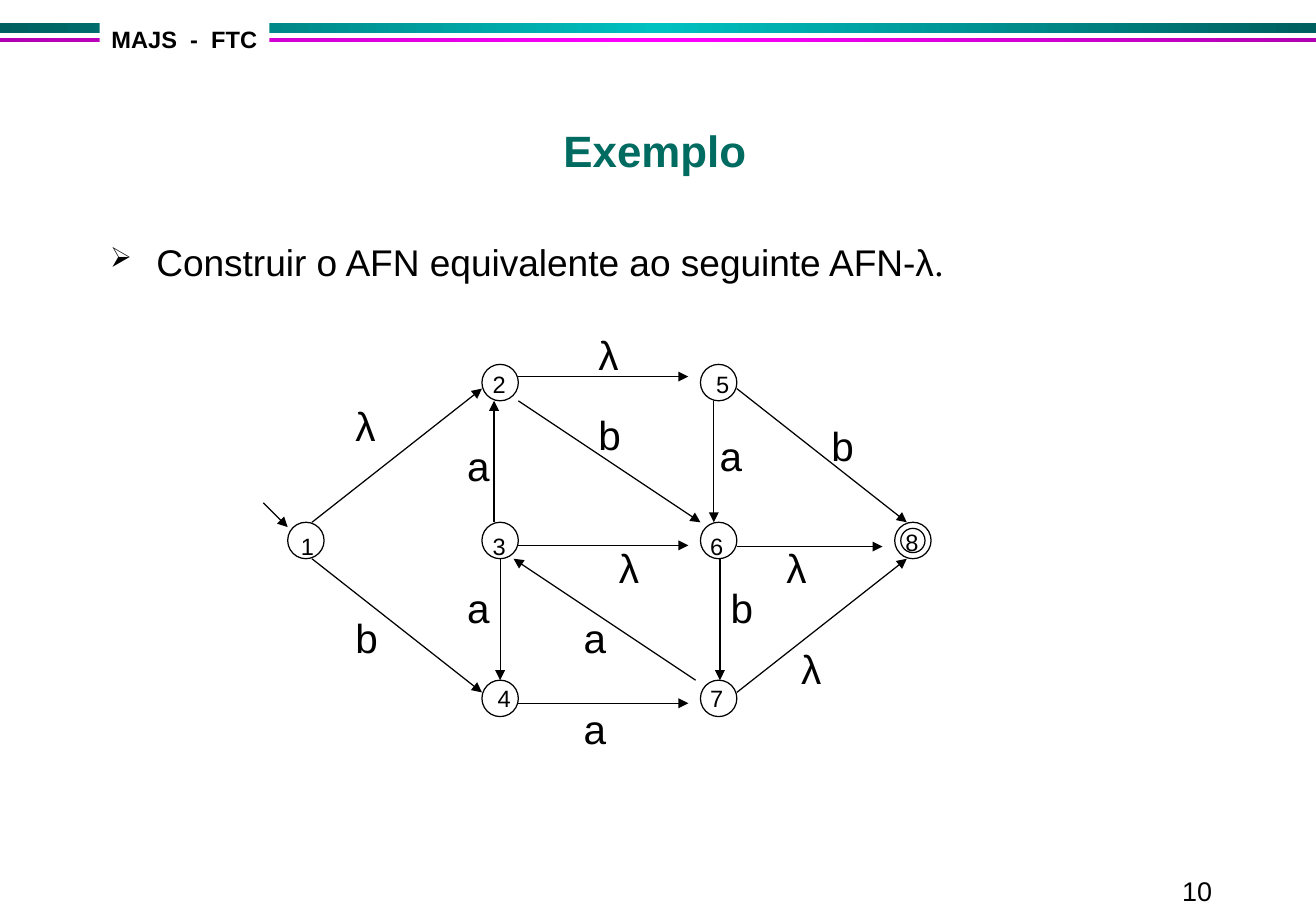
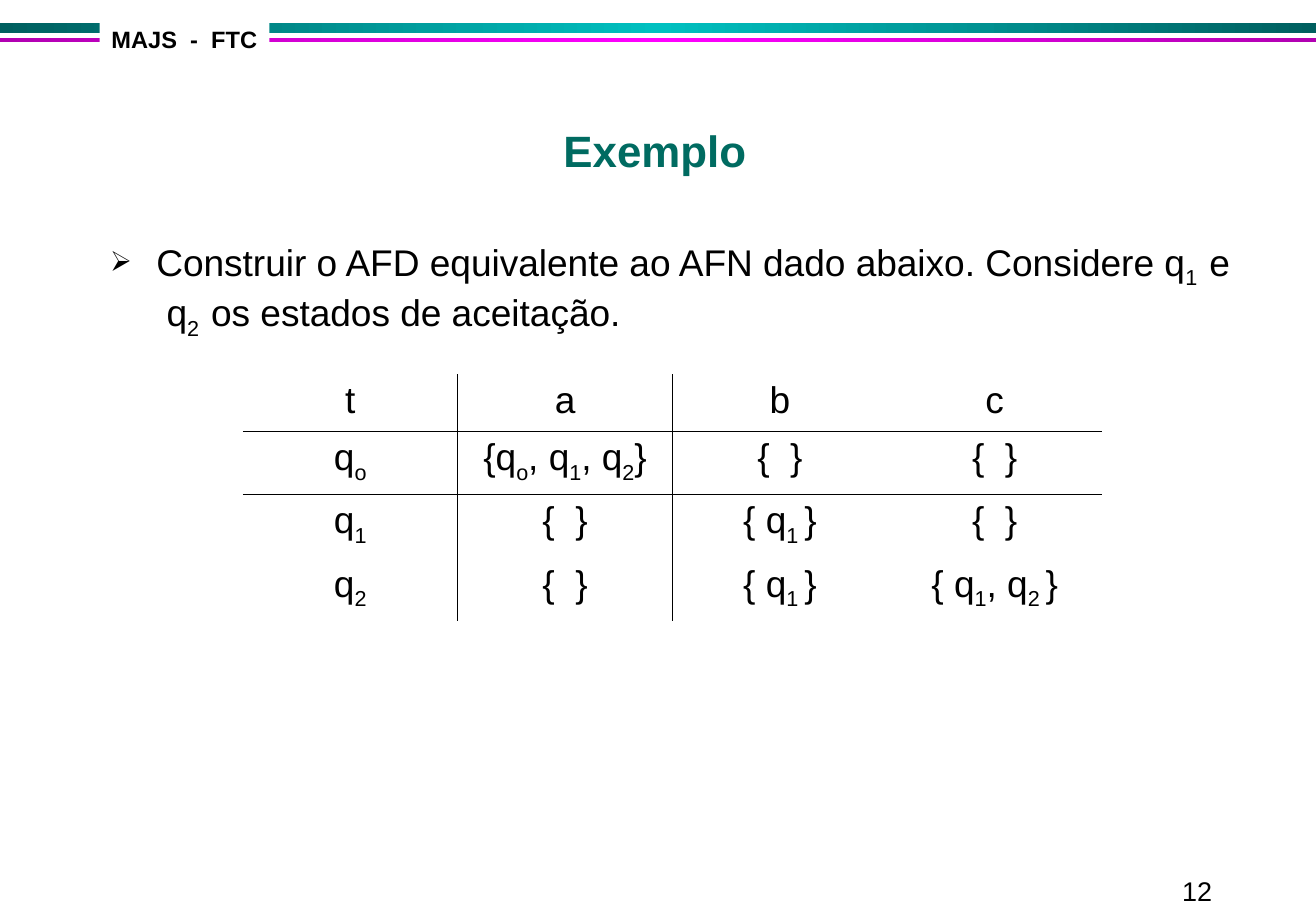
"""Build two slides on finite automata: a state diagram and a transition table."""
from copy import deepcopy

from lxml.etree import SubElement
from pptx import Presentation
from pptx.dml.color import RGBColor
from pptx.enum.shapes import MSO_CONNECTOR, MSO_SHAPE
from pptx.enum.text import MSO_ANCHOR, MSO_AUTO_SIZE, PP_ALIGN
from pptx.oxml.ns import qn
from pptx.util import Inches, Pt

COLORS = {
    "text": "000000",
    "title": "006B61",
    "paper": "FFFFFF",
    "teal_edge": "005F5F",
    "teal_middle": "00C0C0",
    "pink_edge": "B100B1",
    "pink_middle": "FF00FF",
}
RGB = {name: RGBColor.from_string(value) for name, value in COLORS.items()}
FONT = "Arial"


def add_spans(para, text, size, bold=False, color="text"):
    """Add text run by run; every second piece between bars is a subscript."""
    for index, piece in enumerate(text.split("|")):
        if not piece:
            continue
        span = para.add_run()
        span.text = piece
        span.font.name = FONT
        span.font.size = Pt(size)
        span.font.bold = bold
        span.font.color.rgb = RGB[color]
        if index % 2:
            span.font._element.set("baseline", "-25000")


def add_text(page, left, top, width, height, text, size, bold=False):
    """Add a text box, with its lengths in inches, and return it."""
    box = page.shapes.add_textbox(*map(Inches, (left, top, width, height)))
    box.text_frame.word_wrap = True
    add_spans(box.text_frame.paragraphs[0], text, size, bold)
    return box


deck = Presentation()
deck.slide_width, deck.slide_height = Inches(10.84), Inches(7.5)
title_only = deck.slide_layouts[5]

BANDS = [(0.19, 0.08, "teal"), (0.31, 0.04, "pink")]
PAGES = [
    ("10", "Construir o AFN equivalente ao seguinte AFN-λ"),
    ("12", "Construir o AFD equivalente ao AFN dado abaixo. Considere q"
           "|1  |e  q|2  |os estados de aceitação."),
]
bodies = []
for number, sentence in PAGES:
    page = deck.slides.add_slide(title_only)
    for top, height, hue in BANDS:
        band = page.shapes.add_shape(
            MSO_SHAPE.RECTANGLE, 0, Inches(top), deck.slide_width, Inches(height))
        band.shadow.inherit = False
        band.line.fill.background()
        band.fill.gradient()
        band.fill.gradient_angle = 0
        stop_list = band._element.spPr.find(".//" + qn("a:gsLst"))
        stop_list.append(deepcopy(stop_list[0]))
        for index, part in enumerate(("edge", "middle", "edge")):
            stop = band.fill.gradient_stops[index]
            stop.position = index / 2
            stop.color.rgb = RGB[f"{hue}_{part}"]

    add_text(page, 9.64, 7.15, 1.2, 0.35, number, 16)
    tag = add_text(page, 0.82, 0.16, 1.4, 0.33, "MAJS  -  FTC", 14, True)
    tag.text_frame.word_wrap = False
    tag.fill.solid()
    tag.fill.fore_color.rgb = RGB["paper"]

    title = page.shapes.title
    title.left, title.top, title.width, title.height = map(
        Inches, (0.79, 0.81, 9.21, 0.69))
    title.text_frame.auto_size = MSO_AUTO_SIZE.NONE
    title.text_frame.vertical_anchor = MSO_ANCHOR.BOTTOM
    heading = title.text_frame.paragraphs[0]
    heading.alignment = PP_ALIGN.CENTER
    add_spans(heading, "Exemplo", 26, True, "title")

    body = add_text(page, 0.81, 1.92, 9.44, 1.0, sentence, 22)
    properties = body.text_frame.paragraphs[0]._p.get_or_add_pPr()
    properties.set("marL", str(Inches(0.38)))
    properties.set("indent", str(Inches(-0.38)))
    bullet_color = SubElement(properties, qn("a:buClr"))
    SubElement(bullet_color, qn("a:srgbClr"), val=COLORS["text"])
    SubElement(properties, qn("a:buSzPct"), val="75000")
    SubElement(properties, qn("a:buChar"), char="➢")
    bodies.append(body)

diagram_page, table_page = deck.slides
sentence_para = bodies[0].text_frame.paragraphs[0]
add_spans(sentence_para, ".", 22)
sentence_para.runs[-1].font.name = "Times New Roman"

COLUMNS = [2.52, 4.12, 5.92, 7.52]
ROWS = [3.15 + 1.3 * row for row in range(3)]
STATES = {
    "1": (0, 1, 2.38, 4.33),
    "2": (1, 0, 3.96, 3.0),
    "3": (1, 1, 3.96, 4.33),
    "4": (1, 2, 4.0, 5.58),
    "5": (2, 0, 5.8, 3.0),
    "6": (2, 1, 5.75, 4.33),
    "7": (2, 2, 5.75, 5.58),
    "8": (3, 1, 7.36, 4.3),
}
centers = {name: (COLUMNS[state[0]], ROWS[state[1]])
           for name, state in STATES.items()}
circles = [(*center, 0.15) for center in centers.values()]
circles.append((*centers["8"], 0.1))
for x, y, radius in circles:
    circle = diagram_page.shapes.add_shape(
        MSO_SHAPE.OVAL, Inches(x - radius), Inches(y - radius),
        Inches(2 * radius), Inches(2 * radius))
    circle.shadow.inherit = False
    circle.fill.background()
    circle.line.color.rgb = RGB["text"]
    circle.line.width = Pt(0.75)

ARROWS = [
    ("1", -0.35, -0.31, "1", -0.15, -0.11, None),
    ("1", 0.05, -0.15, "2", -0.15, 0.05, ("λ", 2.83, 3.25)),
    ("1", 0.05, 0.15, "4", -0.15, -0.05, ("b", 2.83, 5.0)),
    ("2", 0.15, -0.05, "5", -0.25, -0.05, ("λ", 4.83, 2.67)),
    ("2", 0.15, 0.15, "6", -0.15, -0.15, ("b", 4.83, 3.33)),
    ("3", -0.05, -0.15, "2", -0.05, 0.15, ("a", 3.75, 3.58)),
    ("3", 0, 0.15, "4", 0, -0.15, ("a", 3.75, 4.75)),
    ("3", 0.15, 0.04, "6", -0.25, 0.04, ("λ", 5.0, 4.42)),
    ("4", 0.15, 0.04, "7", -0.25, 0.04, ("a", 4.71, 5.75)),
    ("5", -0.04, 0.15, "6", -0.04, -0.15, ("a", 5.83, 3.5)),
    ("5", 0.15, 0.05, "8", -0.05, -0.15, ("b", 6.75, 3.42)),
    ("6", 0.01, 0.15, "7", 0.01, -0.15, ("b", 5.92, 4.75)),
    ("6", 0.15, 0.05, "8", -0.25, 0.05, ("λ", 6.38, 4.42)),
    ("7", -0.19, -0.15, "3", 0.11, 0.15, ("a", 4.71, 5.0)),
    ("7", 0.15, -0.05, "8", -0.05, 0.15, ("λ", 6.5, 5.25)),
]
for source, source_x, source_y, target, target_x, target_y, label in ARROWS:
    x1, y1 = centers[source]
    x2, y2 = centers[target]
    arrow = diagram_page.shapes.add_connector(
        MSO_CONNECTOR.STRAIGHT, Inches(x1 + source_x), Inches(y1 + source_y),
        Inches(x2 + target_x), Inches(y2 + target_y))
    arrow.line.color.rgb = RGB["text"]
    arrow.line.width = Pt(0.75)
    SubElement(arrow.line._get_or_add_ln(), qn("a:tailEnd"), type="triangle")
    SubElement(arrow._element.spPr, qn("a:effectLst"))
    if label:
        symbol, left, top = label
        add_text(diagram_page, left, top, 0.37, 0.5, symbol, 24)

for name, (column, row, left, top) in STATES.items():
    add_text(diagram_page, left, top, 0.29, 0.34, name, 14)

TRANSITIONS = [
    ["t", "a", "b", "c"],
    ["q|o", "{q|o|, q|1|, q|2|}", "{  }", "{  }"],
    ["q|1", "{  }", "{ q|1 |}", "{  }"],
    ["q|2", "{  }", "{ q|1 |}", "{ q|1|, q|2 |}"],
]
ROW_HEIGHTS = [0.47, 0.52, 0.52, 0.52]
frame = diagram_frame = table_page.shapes.add_table(
    4, 4, Inches(2), Inches(3.08), Inches(4 * 1.77), Inches(sum(ROW_HEIGHTS)))
table = frame.table
table.first_row = table.horz_banding = False
style = table._tbl.tblPr.find(qn("a:tableStyleId"))
style.text = "{2D5ABB26-0587-4C30-8999-92F81FD0307C}"
for row, texts in enumerate(TRANSITIONS):
    table.rows[row].height = Inches(ROW_HEIGHTS[row])
    for column, text in enumerate(texts):
        cell = table.cell(row, column)
        para = cell.text_frame.paragraphs[0]
        para.alignment = PP_ALIGN.CENTER
        add_spans(para, text, 22)
        sides = {"lnL": column == 1, "lnR": column == 0,
                 "lnT": row == 1, "lnB": row == 0}
        for side, drawn in sides.items():
            if drawn:
                border = SubElement(cell._tc.get_or_add_tcPr(), qn("a:" + side),
                                    w=str(Pt(0.45)))
                paint = SubElement(border, qn("a:solidFill"))
                SubElement(paint, qn("a:srgbClr"), val=COLORS["text"])
        cell.fill.background()

deck.save("out.pptx")
